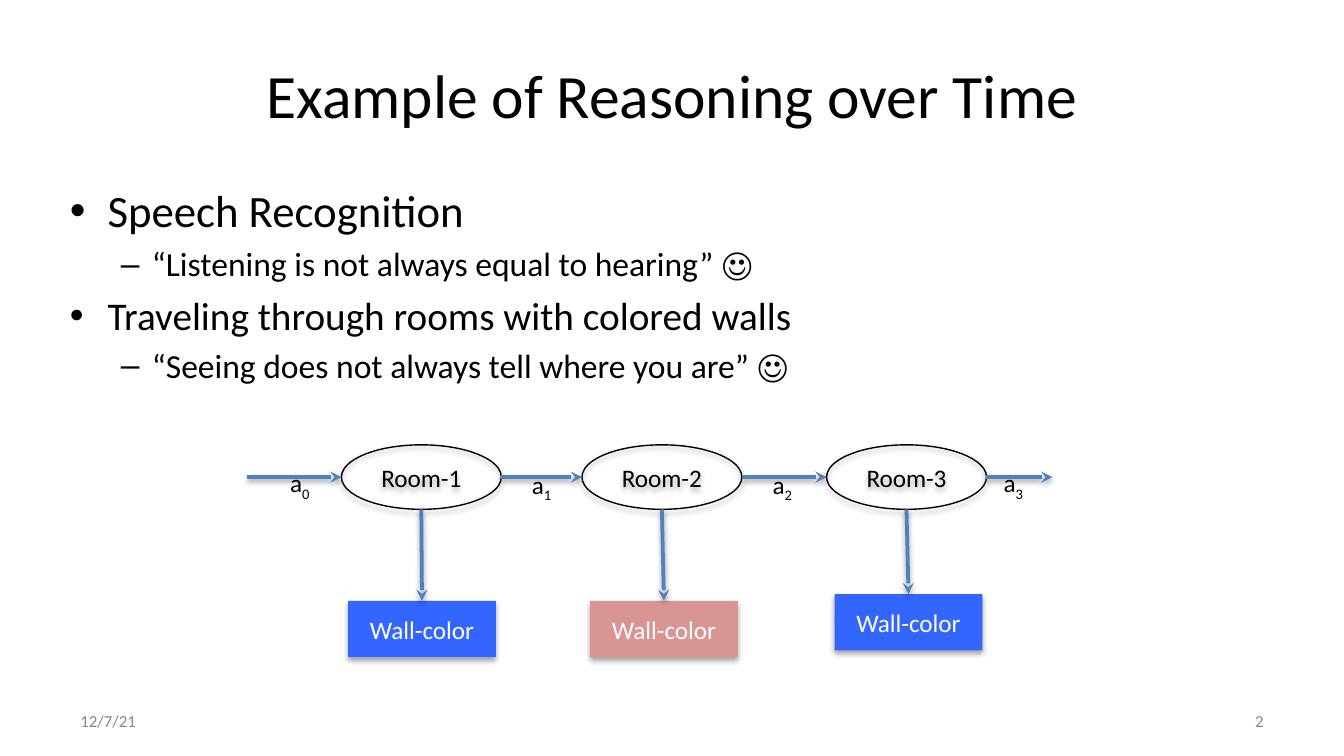
"""Build a slide on reasoning over time with a chain of rooms and wall colours."""
from typing import NamedTuple, Optional

from lxml.etree import SubElement
from pptx import Presentation
from pptx.dml.color import RGBColor
from pptx.enum.shapes import MSO_CONNECTOR as Cxn, MSO_SHAPE as Geo
from pptx.enum.text import MSO_ANCHOR as Anchor, MSO_AUTO_SIZE as Fit, PP_ALIGN as Align
from pptx.oxml.ns import qn
from pptx.util import Inches, Pt

BLACK = RGBColor(0x00, 0x00, 0x00)
WHITE = RGBColor(0xFF, 0xFF, 0xFF)
GRAY = RGBColor(0x88, 0x88, 0x88)
ARROW = RGBColor(0x4F, 0x81, 0xBD)
BLUE = RGBColor(0x33, 0x66, 0xFF)
ROSE = RGBColor(0xD9, 0x95, 0x93)

SLIDE_W = Inches(10)
SLIDE_H = SLIDE_W * 9 // 16
CELL = SLIDE_W / 100
ROOM_W, ROOM_H, ROOM_TOP = 11.9, 4.8, 33.1
WALL_W, WALL_H = 11, 4.2
AXIS = ROOM_TOP + ROOM_H / 2
CHAIN_START, CHAIN_END = 18.4, 78.3
LABEL_SIZE = 13.5


class Box(NamedTuple):
    left: float
    top: float
    width: float
    height: float


class Room(NamedTuple):
    name: str
    left: float
    wall_left: float
    wall_top: float
    wall_color: RGBColor


class Action(NamedTuple):
    index: str
    left: float
    top: float


class Bullet(NamedTuple):
    text: str
    size: float
    level: int
    before: float


ROOMS = [
    Room("Room-1", 25.4, 25.9, 44.7, BLUE),
    Room("Room-2", 43.3, 43.9, 44.7, ROSE),
    Room("Room-3", 61.5, 62.1, 44.2, BLUE),
]
ACTIONS = [
    Action("0", 20.6, 34.3),
    Action("1", 38.6, 34.4),
    Action("2", 56.5, 34.4),
    Action("3", 73.7, 34.3),
]
BULLETS = [
    Bullet("Speech Recognition", 24, 0, 0),
    Bullet("“Listening is not always equal to hearing” ☺", 18, 1, 3.6),
    Bullet("Traveling through rooms with colored walls", 21, 0, 4.2),
    Bullet("“Seeing does not always tell where you are” ☺", 18, 1, 3.6),
]
INDENTS = [(0.28, -0.28), (0.61, -0.23)]


def cells(*values: float) -> list:
    return [round(v * CELL) for v in values]


def place(sp, box: Box) -> None:
    for name, value in zip(Box._fields, cells(*box)):
        setattr(sp, name, value)


def style(p, size: float, color: RGBColor, align: Optional[Align] = None) -> None:
    for name, value in {"name": "Calibri", "size": Pt(size)}.items():
        setattr(p.font, name, value)
    p.font.color.rgb = color
    p.alignment = align


def add_shadow(sp, alpha: int, dist: float) -> None:
    effects = SubElement(sp._element.spPr, qn("a:effectLst"))
    shadow = SubElement(effects, qn("a:outerShdw"), blurRad=str(Pt(3.1)),
                        dist=str(Pt(dist)), dir="5400000", rotWithShape="0")
    color = SubElement(shadow, qn("a:srgbClr"), val=str(BLACK))
    SubElement(color, qn("a:alpha"), val=str(alpha * 1000))


def add_node(slide, geo: Geo, box: Box, text: str, color: RGBColor,
             fill: Optional[RGBColor] = None):
    sp = slide.shapes.add_shape(geo, *cells(*box))
    if fill is None:
        sp.fill.background()
        sp.line.color.rgb = BLACK
        sp.line.width = Pt(0.75)
    else:
        sp.fill.solid()
        sp.fill.fore_color.rgb = fill
        sp.line.fill.background()
    add_shadow(sp, 35, 1.8)
    tf = sp.text_frame
    tf.text = text
    tf.vertical_anchor = Anchor.MIDDLE
    style(tf.paragraphs[0], LABEL_SIZE, color, Align.CENTER)
    return sp


def add_arrow(slide, x1: float, y1: float, x2: float, y2: float):
    line = slide.shapes.add_connector(Cxn.STRAIGHT, *cells(x1, y1, x2, y2))
    line.line.color.rgb = ARROW
    line.line.width = Pt(2)
    SubElement(line._element.spPr.find(qn("a:ln")), qn("a:tailEnd"), type="stealth")
    add_shadow(line, 38, 1.6)
    return line


def add_text(slide, box: Box, text: str, size: float, color: RGBColor,
             align: Align = Align.LEFT):
    tf = slide.shapes.add_textbox(*cells(*box)).text_frame
    tf.word_wrap = True
    tf.text = text
    style(tf.paragraphs[0], size, color, align)
    return tf


def add_bullets(body) -> None:
    tf = body.text_frame
    tf.auto_size = Fit.NONE
    for i, item in enumerate(BULLETS):
        p = tf.paragraphs[0] if i == 0 else tf.add_paragraph()
        p.text = item.text
        p.level = item.level
        p.space_before = Pt(item.before)
        margin, indent = INDENTS[item.level]
        pPr = p._p.get_or_add_pPr()
        pPr.set("marL", str(Inches(margin)))
        pPr.set("indent", str(Inches(indent)))
        style(p, item.size, BLACK)


def add_chain(slide) -> None:
    start = CHAIN_START
    for room in ROOMS:
        add_node(slide, Geo.OVAL, Box(room.left, ROOM_TOP, ROOM_W, ROOM_H),
                 room.name, BLACK)
        wall = add_node(slide, Geo.RECTANGLE,
                        Box(room.wall_left, room.wall_top, WALL_W, WALL_H),
                        "Wall-color", WHITE, room.wall_color)
        add_arrow(slide, start, AXIS, room.left, AXIS)
        down = add_arrow(slide, room.left + ROOM_W / 2, ROOM_TOP + ROOM_H,
                         room.wall_left + WALL_W / 2, room.wall_top)
        down.end_connect(wall, 0)
        start = room.left + ROOM_W
    add_arrow(slide, start, AXIS, CHAIN_END, AXIS)
    for action in ACTIONS:
        tf = add_text(slide, Box(action.left, action.top, 3.6, 3.3), "a",
                      LABEL_SIZE, BLACK)
        r = tf.paragraphs[0].add_run()
        r.text = action.index
        r.font._element.set("baseline", "-25000")


def main() -> None:
    prs = Presentation()
    prs.slide_width, prs.slide_height = SLIDE_W, SLIDE_H
    slide = prs.slides.add_slide(prs.slide_layouts[1])
    title, body = slide.placeholders
    place(title, Box(5, 2.3, 90, 9.4))
    title.text_frame.text = "Example of Reasoning over Time"
    style(title.text_frame.paragraphs[0], 33, BLACK, Align.CENTER)
    place(body, Box(4.2, 13.1, 79.5, 17.7))
    add_bullets(body)
    for left, text, align in [(5, "12/7/21", Align.LEFT), (71.7, "2", Align.RIGHT)]:
        tf = add_text(slide, Box(left, 52.1, 23.3, 3), text, 9, GRAY, align)
        tf.vertical_anchor = Anchor.MIDDLE
    add_chain(slide)
    prs.save("out.pptx")


if __name__ == "__main__":
    main()
